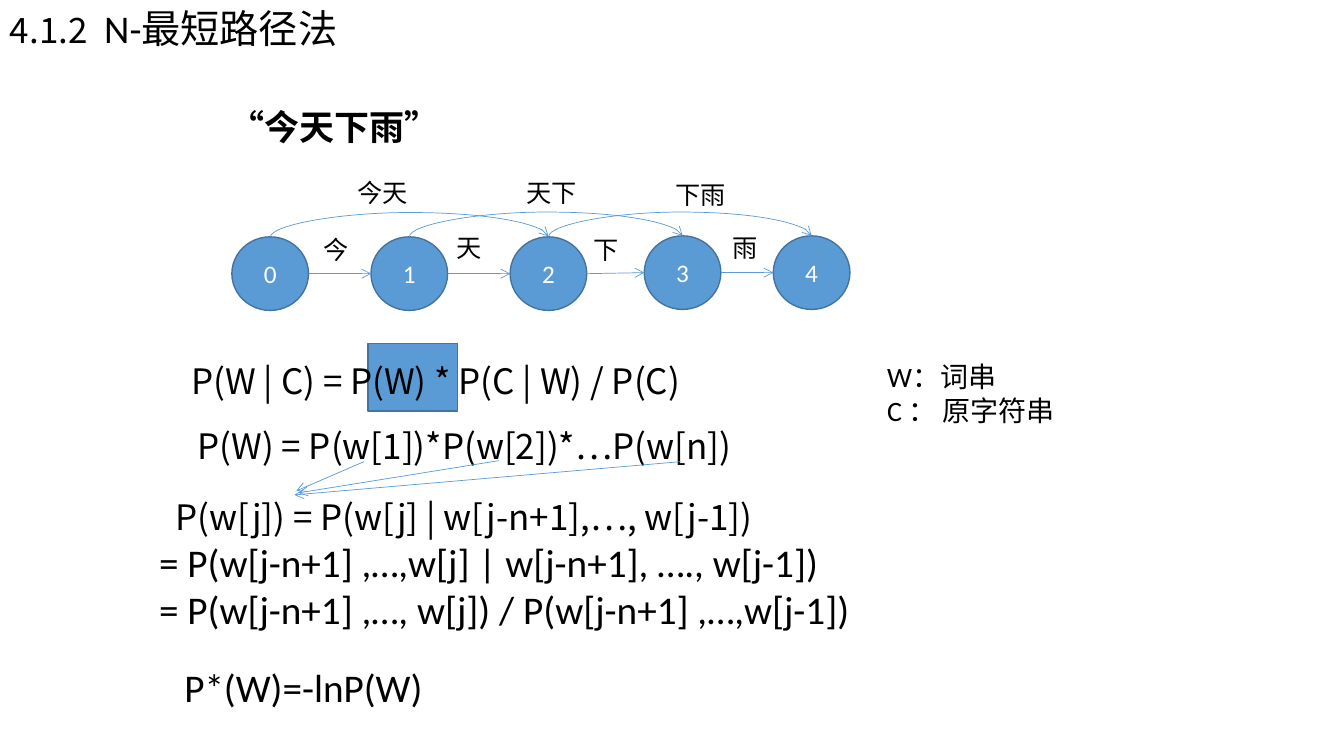
from lxml.etree import SubElement
from pptx import Presentation
from pptx.dml.color import RGBColor
from pptx.enum.shapes import MSO_CONNECTOR, MSO_SHAPE
from pptx.enum.text import MSO_ANCHOR, MSO_AUTO_SIZE, PP_ALIGN
from pptx.oxml.ns import qn
from pptx.util import Inches, Pt

BLUE, EDGE, BLACK, WHITE = "5B9BD5", "43739E", "000000", "FFFFFF"
NOTO, CALIBRI = "Noto Sans CJK SC", "Calibri"
NODE_W, NODE_H = 0.76, 0.73


def rgb(value):
    return RGBColor.from_string(value)


def set_font(font, size, name, color=BLACK, bold=False):
    font.size, font.name, font.bold = Pt(size), name, bold
    font.color.rgb = rgb(color)
    SubElement(font._rPr, qn("a:ea")).set("typeface", NOTO)


def add_text(s, box, lines, wrap=True):
    """Each line is (text, size, font name) with an optional bold flag."""
    tf = s.shapes.add_textbox(*map(Inches, box)).text_frame
    tf.word_wrap = wrap
    tf.auto_size = MSO_AUTO_SIZE.SHAPE_TO_FIT_TEXT
    for i, (text, size, name, *bold) in enumerate(lines):
        p = tf.add_paragraph() if i else tf.paragraphs[0]
        p.text = text
        set_font(p.font, size, name, bold=bool(bold))
    return tf


def add_block(s, kind, box):
    sp = s.shapes.add_shape(kind, *map(Inches, box))
    sp.shadow.inherit = False
    sp.fill.solid()
    sp.fill.fore_color.rgb = rgb(BLUE)
    sp.line.color.rgb = rgb(EDGE)
    sp.line.width = Pt(1)
    return sp


def add_arrow(s, start, end, kind=MSO_CONNECTOR.STRAIGHT):
    c = s.shapes.add_connector(kind, *map(Inches, (*start, *end)))
    c.line.color.rgb = rgb(BLUE)
    c.line.width = Pt(0.5)
    SubElement(c.line._get_or_add_ln(), qn("a:tailEnd")).set("type", "arrow")
    SubElement(c._element.spPr, qn("a:effectLst"))
    return c


def add_arc(s, start, end, rise=0.25):
    """Curved connector turned a quarter, so that it bulges upwards."""
    (x1, y1), (x2, y2) = start, end
    cx, cy, half, thin = (x1 + x2) / 2, (y1 + y2) / 2, (x2 - x1) / 2, 0.01
    c = add_arrow(s, (cx + thin / 2, cy + half), (cx - thin / 2, cy - half),
                  MSO_CONNECTOR.CURVE)
    spPr = c._element.spPr
    spPr.find(qn("a:xfrm")).set("rot", str(90 * 60000))
    geom = spPr.find(qn("a:prstGeom"))
    guides = geom.find(qn("a:avLst"))
    if guides is None:
        guides = SubElement(geom, qn("a:avLst"))
    guide = SubElement(guides, qn("a:gd"))
    guide.set("name", "adj1")
    guide.set("fmla", f"val {round(rise / thin * 100000)}")


def add_title(s, x, y):
    tf = add_text(s, (x, y, 3.68, 0.56), [("", 25, NOTO)], wrap=False)
    tf.vertical_anchor = MSO_ANCHOR.MIDDLE
    for text, size, name in (("4.1.2 ", 25, NOTO), (" N-最短路径法", 28, CALIBRI)):
        r = tf.paragraphs[0].add_run()
        r.text = text
        set_font(r.font, size, name)


def add_word_graph(s, x, y):
    nodes = [(x + dx, y + dy) for dx, dy in
             ((0, 0.01), (1.38, 0.01), (2.76, 0.01), (4.09, 0), (5.37, 0))]
    for i, node in enumerate(nodes):
        sp = add_block(s, MSO_SHAPE.OVAL, (*node, NODE_W, NODE_H))
        tf = sp.text_frame
        tf.vertical_anchor = MSO_ANCHOR.MIDDLE
        p = tf.paragraphs[0]
        p.text, p.alignment = str(i), PP_ALIGN.CENTER
        set_font(p.font, 18, CALIBRI, WHITE)
    for (x1, y1), (x2, y2) in zip(nodes, nodes[1:]):
        add_arrow(s, (x1 + NODE_W, y1 + NODE_H / 2), (x2, y2 + NODE_H / 2))
    tops = [(nx + NODE_W / 2, ny) for nx, ny in nodes]
    for start, end in zip(tops, tops[2:]):
        add_arc(s, start, end)
    labels = (("今", 0.81, -0.06), ("天", 2.13, -0.08), ("下", 3.49, -0.06),
              ("雨", 4.87, -0.08), ("今天", 1.15, -0.63), ("天下", 2.82, -0.63),
              ("下雨", 4.3, -0.61))
    for text, dx, dy in labels:
        add_text(s, (x + dx, y + dy, 0.34 * len(text) + 0.2, 0.4), [(text, 18, NOTO)])


def add_formulas(s, x, y):
    add_text(s, (x + 0.32, y, 5.99, 0.52),
             [("P(W | C) = P(W) * P(C | W) / P(C)", 25, NOTO)], wrap=False)
    add_text(s, (x + 0.38, y + 0.64, 5.81, 0.52),
             [("P(W) = P(w[1])*P(w[2])*…P(w[n])", 25, NOTO)], wrap=False)
    tf = add_text(s, (x, y + 1.35, 7.43, 1.46), [
        ("P(w[j]) = P(w[j] | w[j-n+1],…, w[j-1])", 25, NOTO),
        ("= P(w[j-n+1] ,…,w[j] | w[j-n+1], …., w[j-1])", 28, CALIBRI),
        ("= P(w[j-n+1] ,…, w[j]) / P(w[j-n+1] ,…,w[j-1])", 28, CALIBRI)])
    tf.paragraphs[0]._p.get_or_add_pPr().set("marL", str(Inches(0.16)))
    add_text(s, (x + 0.25, y + 3.01, 3.44, 0.57), [("P*(W)=-lnP(W)", 28, CALIBRI)])
    for dx1, dy1, dx2, dy2 in ((2.13, 1.06, 1.46, 1.35), (3.47, 1.05, 1.48, 1.37),
                               (5.27, 1.06, 1.44, 1.39)):
        add_arrow(s, (x + dx1, y + dy1), (x + dx2, y + dy2))


def main():
    prs = Presentation()
    prs.slide_width, prs.slide_height = Inches(13.33), Inches(7.5)
    s = prs.slides.add_slide(prs.slide_layouts[6])
    add_block(s, MSO_SHAPE.RECTANGLE, (3.65, 3.41, 0.89, 0.67))
    add_title(s, 0, 0)
    add_text(s, (2.18, 1, 2.58, 0.52), [("“今天下雨”", 25, NOTO, True)])
    add_word_graph(s, 2.3, 2.34)
    add_formulas(s, 1.48, 3.52)
    add_text(s, (8.7, 3.52, 3.09, 0.77),
             [("W：词串", 20, CALIBRI), ("C ： 原字符串", 20, CALIBRI)])
    prs.save("out.pptx")


if __name__ == "__main__":
    main()
